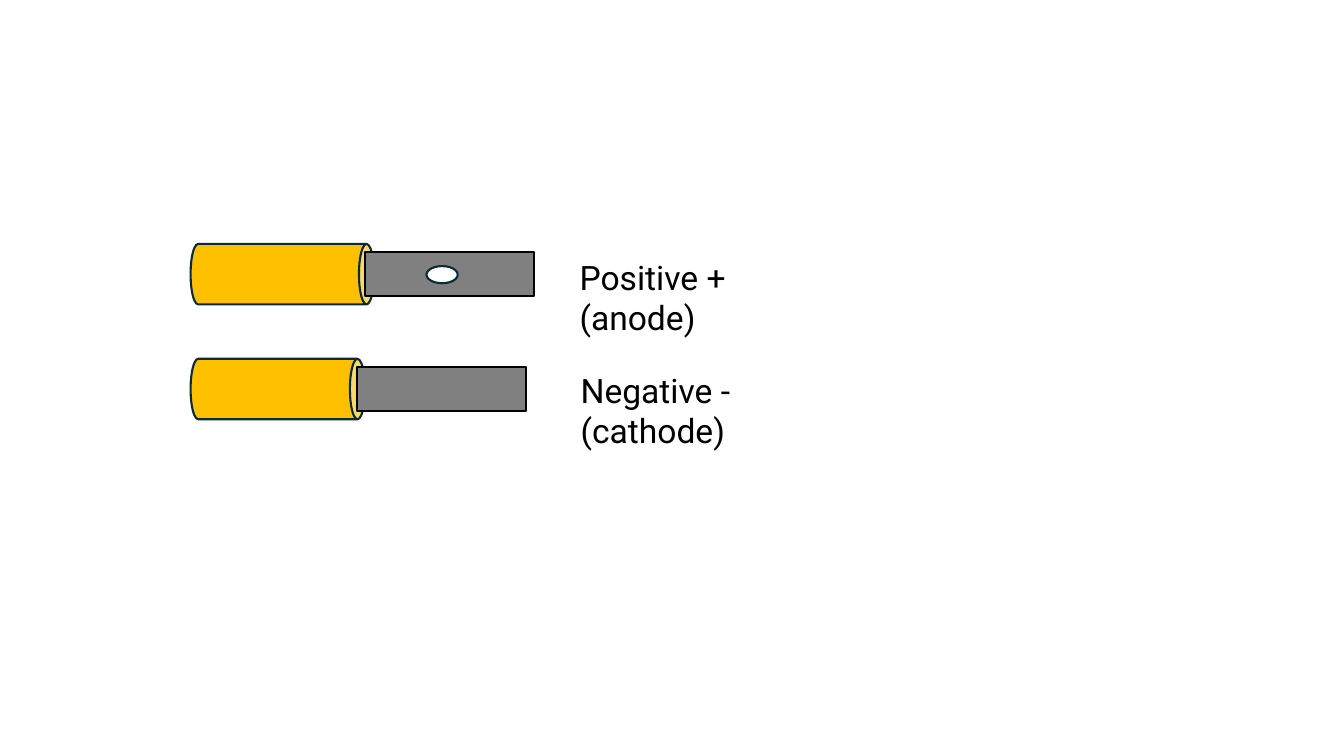
from pptx import Presentation
from pptx import util as u
from pptx.dml.color import RGBColor
from pptx.enum import shapes, text

COLORS = {
    "insulation": "FFC000",
    "insulation_edge": "092A39",
    "metal": "808080",
    "black": "000000",
    "hole": "FFFFFF",
}


class ElectrodeSlide:
    font = "Roboto"
    text_size = u.Pt(24)
    line_width = u.Pt(1.5)

    def __init__(self, deck):
        self.slide = deck.slides.add_slide(deck.slide_layouts[6])

    def shape(self, kind, box, fill, line):
        part = self.slide.shapes.add_shape(kind, *map(u.Inches, box))
        part.shadow.inherit = False
        part.fill.solid()
        part.fill.fore_color.rgb = RGBColor.from_string(COLORS[fill])
        part.line.color.rgb = RGBColor.from_string(COLORS[line])
        part.line.width = self.line_width
        return part

    def handle(self, left, top, length, thickness=0.6):
        """Draw a cylinder lying on its side, placed by its visible edges."""
        shift = (length - thickness) / 2
        box = (left + shift, top - shift, thickness, length)
        cylinder = self.shape(shapes.MSO_SHAPE.CAN, box, "insulation", "insulation_edge")
        cylinder.rotation = 90

    def blade(self, left, top):
        self.shape(shapes.MSO_SHAPE.RECTANGLE, (left, top, 1.68, 0.44), "metal", "black")

    def hole(self, left, top):
        self.shape(shapes.MSO_SHAPE.OVAL, (left, top, 0.31, 0.17), "hole", "insulation_edge")

    def label(self, left, top, width, wording):
        box = self.slide.shapes.add_textbox(*map(u.Inches, (left, top, width, 0.5)))
        frame = box.text_frame
        frame.word_wrap = True
        frame.auto_size = text.MSO_AUTO_SIZE.SHAPE_TO_FIT_TEXT
        run = frame.paragraphs[0].add_run()
        run.text = wording
        run.font.name = self.font
        run.font.size = self.text_size
        run.font.color.rgb = RGBColor.from_string(COLORS["black"])


def main():
    deck = Presentation()
    deck.slide_width, deck.slide_height = u.Inches(13.33), u.Inches(7.5)
    electrodes = ElectrodeSlide(deck)

    electrodes.handle(1.89, 3.56, 1.73)
    electrodes.handle(1.89, 2.42, 1.82)
    electrodes.blade(3.62, 2.5)
    electrodes.hole(4.23, 2.64)
    electrodes.blade(3.54, 3.64)
    electrodes.label(5.65, 2.5, 2.76, "Positive + (anode)")
    electrodes.label(5.66, 3.62, 3.11, "Negative - (cathode)")

    deck.save("out.pptx")


if __name__ == "__main__":
    main()
